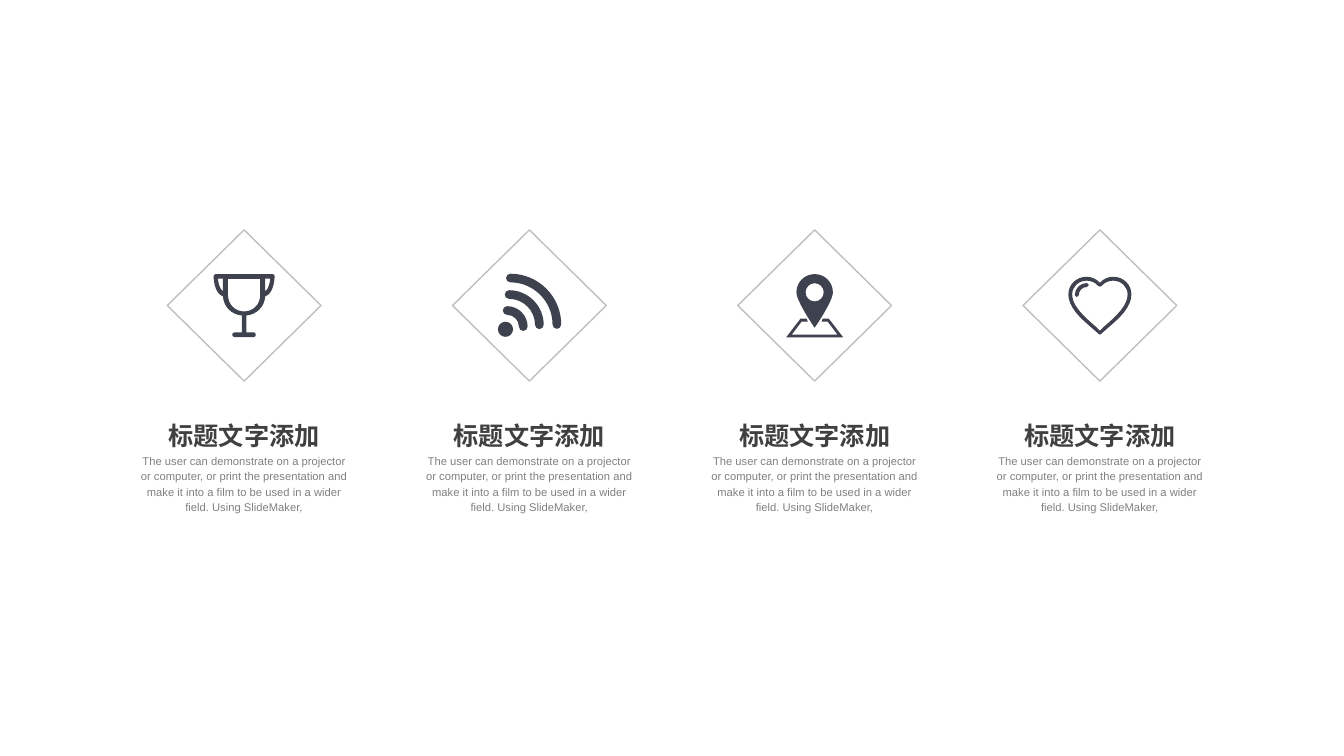
from dataclasses import dataclass
from math import cos, radians, sin

from pptx import Presentation
from pptx.dml.color import RGBColor
from pptx.enum.shapes import MSO_SHAPE
from pptx.enum.text import MSO_AUTO_SIZE, PP_ALIGN
from pptx.oxml import parse_xml
from pptx.oxml.ns import nsdecls, qn
from pptx.util import Pt


@dataclass(frozen=True)
class Theme:
    font: str = "Arial"
    head: RGBColor = RGBColor(0x40, 0x40, 0x40)
    body: RGBColor = RGBColor(0x80, 0x80, 0x80)
    rim: RGBColor = RGBColor(0xBF, 0xBF, 0xBF)
    icon: RGBColor = RGBColor(0x3E, 0x41, 0x4E)
    head_size: float = 18
    body_size: float = 8


# An outline is a list of steps: two numbers are a corner, six a cubic curve.

def dots(steps):
    return [dot for step in steps for dot in zip(step[::2], step[1::2])]


def flip(steps):
    """Mirror an outline left to right and run it backwards."""
    points = iter([(-x, y) for x, y in reversed(dots(steps))])
    turned = [next(points)]
    for step in reversed(steps[1:]):
        turned.append(sum((next(points) for _ in range(len(step) // 2)), ()))
    return turned


def whole(*half):
    """Closed outline from its right half."""
    left = flip(half)
    return [*half, *(left[1:] if left[0][0] == 0 else left)]


def spot(x, y, r, angle):
    return x + r * cos(radians(angle)), y + r * sin(radians(angle))


def arc(x, y, r, start, end):
    """Arc of whole quarters, one curve for each."""
    turn = 90 if end > start else -90
    pull = 0.55 * r * turn / 90
    steps = [spot(x, y, r, start)]
    for a in range(start, end, turn):
        b = a + turn
        steps.append(spot(*spot(x, y, r, a), pull, a + 90)
                     + spot(*spot(x, y, r, b), -pull, b + 90)
                     + spot(x, y, r, b))
    return steps


def band(x, y, r, half, start):
    """Quarter ring with round ends."""
    end = start + 90
    return (arc(x, y, r + half, start, end)
            + arc(*spot(x, y, r, end), half, end, end + 180)[1:]
            + arc(x, y, r - half, end, start)[1:]
            + arc(*spot(x, y, r, start), half, start + 180, start + 360)[1:])


def trophy():
    cup = whole((0, -22.4), (20.6, -22.4), (21.4, -22.4, 21.8, -22, 21.8, -21.2),
                (21.8, -20.2, 21.6, -8.5, 15.1, -6.5),
                (14.6, 1, 9, 6.5, 1.6, 7.2), (1.6, 19.2), (7.2, 19.2),
                (7.9, 19.2, 8.3, 19.6, 8.3, 20.2), (8.3, 21.6),
                (8.3, 22.2, 7.9, 22.6, 7.2, 22.6))
    bowl = whole((0, 4.3), (6.4, 4.3, 11.5, -0.8, 11.5, -7.2), (11.5, -18.9))
    grip = [(15.1, -10.1), (15.1, -19.2), (18.7, -19.2),
            (18.5, -16.5, 17.6, -11.8, 15.1, -10.1)]
    return [cup, bowl, grip, flip(grip)]


def signal():
    waves = [(-15.9, 15.1, 11.5), (-14.5, 13.8, 21.6), (-13.6, 13.6, 33.2)]
    return [arc(-17.1, 17, 5.4, 0, 360)] + [band(*w, 3.1, -90) for w in waves]


def pin():
    sheet = whole((16.4, 20.9), (9.3, 11.5), (4.9, 11.5),
                  (5.8, 9.4), (10.1, 9.4), (20.4, 22.8))
    drop = whole((0, -22.4), (7.2, -22.4, 13, -16.6, 13, -9.4),
                 (13, -2.8, 0, 15.9, 0, 15.9))
    return [sheet, arc(0, -9.4, 6.5, 0, 360), drop]


def heart():
    rim = whole((0, -16.2), (2.6, -19, 5.8, -20.5, 9.4, -20.5),
                (16.9, -20.5, 22.5, -14.9, 22.5, -7.9),
                (22.5, -3.6, 20.9, 0, 17.1, 5),
                (14.4, 8.6, 9.7, 12.6, 4.3, 17.3), (0.8, 20.4), (0, 20.8))
    core = whole((0, -13.4), (0.7, -13.4, 1, -13.7, 1.4, -14.1),
                 (3.2, -16.3, 6.2, -17.7, 9.4, -17.7),
                 (15.1, -17.7, 19.8, -13.5, 19.8, -7.9),
                 (19.8, -0.7, 13.7, 6, 2.2, 15.8), (0, 18))
    return [band(-9.3, -7.4, 7.2, 1.4, 180), core, rim]


class Deck:
    def __init__(self, theme):
        self.theme = theme
        self.show = Presentation()
        self.show.slide_width, self.show.slide_height = Pt(960), Pt(540)
        self.slide = self.show.slides.add_slide(self.show.slide_layouts[6])

    def diamond(self, x, y, width, height):
        shape = self.slide.shapes.add_shape(
            MSO_SHAPE.DIAMOND, Pt(x - width / 2), Pt(y - height / 2),
            Pt(width), Pt(height))
        shape.rotation = 270
        shape.shadow.inherit = False
        shape.fill.background()
        shape.line.color.rgb = self.theme.rim
        shape.line.width = Pt(1)

    def icon(self, x, y, loops):
        """Draw outlines, given around the point x, y, as one shape."""
        pen = None
        for loop in loops:
            first, *rest = [(Pt(x + dx), Pt(y + dy)) for dx, dy in dots(loop)]
            if pen is None:
                pen = self.slide.shapes.build_freeform(*first)
            else:
                pen.move_to(*first)
            pen.add_line_segments(rest, close=True)
        shape = pen.convert_to_shape()
        self.bend(shape, [step for loop in loops for step in loop[1:]])
        shape.shadow.inherit = False
        shape.fill.solid()
        shape.fill.fore_color.rgb = self.theme.icon
        shape.line.fill.background()

    def bend(self, shape, steps):
        """Join the three lines of each curved step into one cubic curve."""
        lines = iter(list(shape._element.iter(qn("a:lnTo"))))
        for step in steps:
            parts = [next(lines) for _ in range(len(step) // 2)]
            if len(parts) == 3:
                curve = parse_xml(f"<a:cubicBezTo {nsdecls('a')}/>")
                parts[0].addprevious(curve)
                for part in parts:
                    curve.append(part[0])
                    part.getparent().remove(part)

    def text(self, group, words, box, size, color, space, bold=False):
        frame = group.shapes.add_textbox(*map(Pt, box)).text_frame
        frame.word_wrap = True
        frame.auto_size = MSO_AUTO_SIZE.SHAPE_TO_FIT_TEXT
        frame.text = words
        line = frame.paragraphs[0]
        line.alignment = PP_ALIGN.CENTER
        line.line_spacing = space
        font = line.runs[0].font
        font.name, font.size, font.bold = self.theme.font, Pt(size), bold
        font.color.rgb = color

    def label(self, x, head, body):
        theme, width = self.theme, 163.4
        left = x - width / 2
        group = self.slide.shapes.add_group_shape()
        self.text(group, head, (left, 292.3, width, 31),
                  theme.head_size, theme.head, 1.2, True)
        self.text(group, body, (left, 319.7, width, 50.4),
                  theme.body_size, theme.body, 1.14)


def main():
    deck = Deck(Theme())
    first, pitch, middle = 174.4, 203.76, 218.2
    head = "标题文字添加"
    body = ("The user can demonstrate on a projector or computer, or print the "
            "presentation and make it into a film to be used in a wider field. "
            "Using SlideMaker,")
    for n, draw in enumerate((trophy, signal, pin, heart)):
        x = first + n * pitch
        deck.diamond(x, middle, 108, 109.8)
        deck.icon(x, middle, draw())
        deck.label(x, head, body)
    deck.show.save("out.pptx")


if __name__ == "__main__":
    main()
